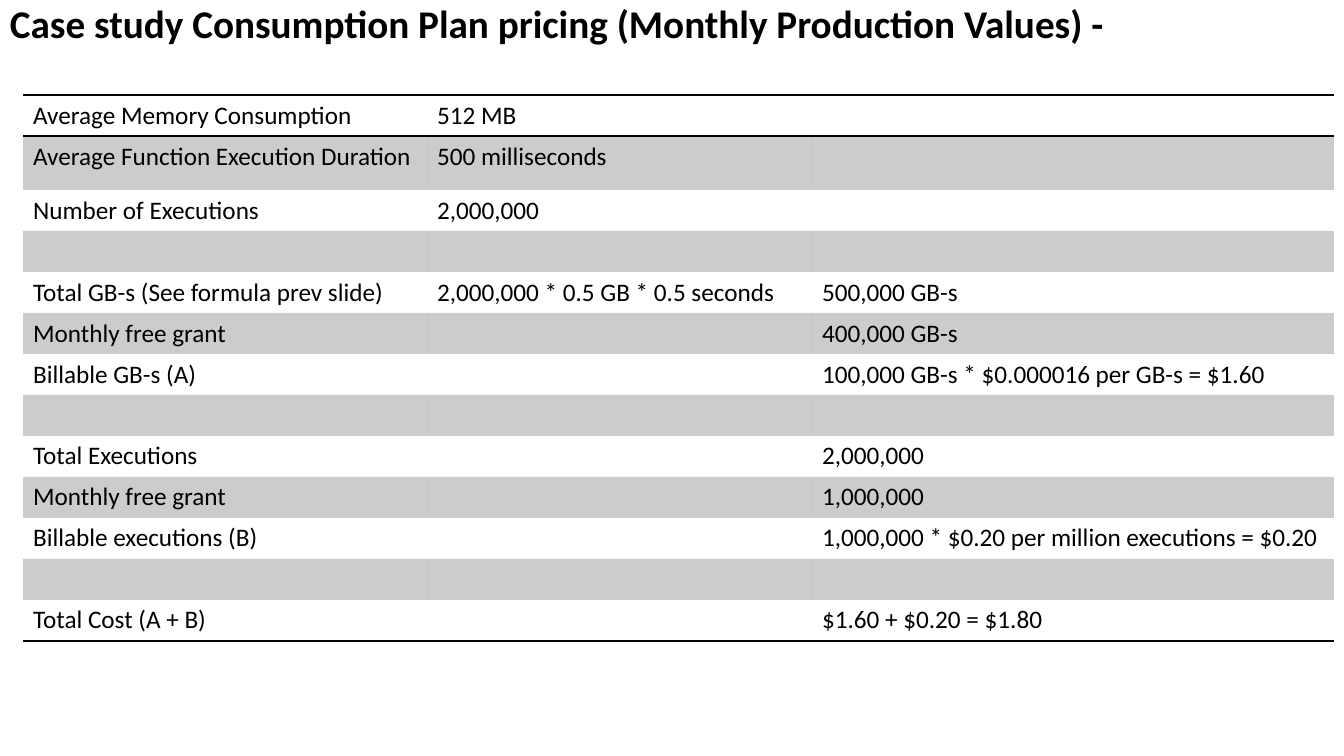
from dataclasses import dataclass

from lxml import etree
from pptx import Presentation
from pptx.dml.color import RGBColor
from pptx.enum.text import MSO_ANCHOR
from pptx.oxml.ns import qn
from pptx.util import Emu, Pt

TOP = MSO_ANCHOR.TOP
PX = 914400 / 100.8
SLIDE_W, SLIDE_H = 1344, 756
NO_STYLE = "{2D5ABB26-0587-4C30-8999-92F81FD0307C}"


@dataclass(frozen=True)
class Theme:
    font: str = "Calibri"
    ink: str = "000000"
    band_opacity: int = 20
    title_size: int = 28
    body_size: int = 18
    rule_width: int = 1


THEME = Theme()

TITLE = "Case study Consumption Plan pricing (Monthly Production Values) -"
PRICING = [
    ("Average Memory Consumption", "512 MB", ""),
    ("Average Function Execution Duration", "500 milliseconds", ""),
    ("Number of Executions", "2,000,000", ""),
    ("", "", ""),
    ("Total GB-s (See formula prev slide)", "2,000,000 * 0.5 GB * 0.5 seconds", "500,000 GB-s"),
    ("Monthly free grant", "", "400,000 GB-s"),
    ("Billable GB-s (A)", "", "100,000 GB-s * $0.000016 per GB-s = $1.60"),
    ("", "", ""),
    ("Total Executions", "", "2,000,000"),
    ("Monthly free grant", "", "1,000,000"),
    ("Billable executions (B)", "", "1,000,000 * $0.20 per million executions = $0.20"),
    ("", "", ""),
    ("Total Cost (A + B)", "", "$1.60 + $0.20 = $1.80"),
]
COL_WIDTHS = [404, 385, 522]
ROW_H, TALL_ROW_H, TALL_ROW = 41, 54, 1


def px(n):
    return Emu(round(n * PX))


def style_font(font, size, bold=False):
    for name, value in {"name": THEME.font, "size": Pt(size), "bold": bold}.items():
        setattr(font, name, value)
    font.color.rgb = RGBColor.from_string(THEME.ink)


def add_title(slide, x, y, w, h):
    tf = slide.shapes.add_textbox(px(x), px(y), px(w), px(h)).text_frame
    tf.word_wrap = True
    tf.vertical_anchor = TOP
    p = tf.paragraphs[0]
    p.line_spacing = 0.9
    p.space_before = Pt(10)
    r = p.add_run()
    r.text = TITLE
    style_font(r.font, THEME.title_size, bold=True)


def shade(cell):
    """Fill the cell with translucent ink."""
    cell.fill.solid()
    cell.fill.fore_color.rgb = RGBColor.from_string(THEME.ink)
    color = cell._tc.tcPr.find(".//" + qn("a:srgbClr"))
    etree.SubElement(color, qn("a:alpha"), val=str(THEME.band_opacity * 1000))


def rule(cell, sides):
    """Draw borders on the given sides, in schema order and ahead of any fill."""
    tc_pr = cell._tc.get_or_add_tcPr()
    for i, side in enumerate(sides):
        ln = etree.Element(qn(f"a:ln{side}"), w=str(Pt(THEME.rule_width)))
        fill = etree.SubElement(ln, qn("a:solidFill"))
        etree.SubElement(fill, qn("a:srgbClr"), val=THEME.ink)
        tc_pr.insert(i, ln)


def add_pricing_table(slide, x, y):
    heights = [TALL_ROW_H if i == TALL_ROW else ROW_H for i in range(len(PRICING))]
    table = slide.shapes.add_table(len(PRICING), len(COL_WIDTHS), px(x), px(y),
                                   px(sum(COL_WIDTHS)), px(sum(heights))).table
    table.first_row = table.horz_banding = False
    table._tbl.tblPr.find(qn("a:tableStyleId")).text = NO_STYLE
    for col, width in zip(table.columns, COL_WIDTHS):
        col.width = px(width)
    for row, height in zip(table.rows, heights):
        row.height = px(height)

    borders = {0: "TB", len(PRICING) - 1: "B"}
    for i, values in enumerate(PRICING):
        for cell, value in zip(table.rows[i].cells, values):
            cell.text = value
            style_font(cell.text_frame.paragraphs[0].font, THEME.body_size)
            for r in cell.text_frame.paragraphs[0].runs:
                style_font(r.font, THEME.body_size)
            if i % 2:
                shade(cell)
            else:
                cell.fill.background()
            rule(cell, borders.get(i, ""))


def main():
    prs = Presentation()
    prs.slide_width, prs.slide_height = px(SLIDE_W), px(SLIDE_H)
    slide = prs.slides.add_slide(prs.slide_layouts[6])
    add_title(slide, 0, 0, SLIDE_W, SLIDE_H)
    add_pricing_table(slide, 23, 95)
    prs.save("out.pptx")


if __name__ == "__main__":
    main()
